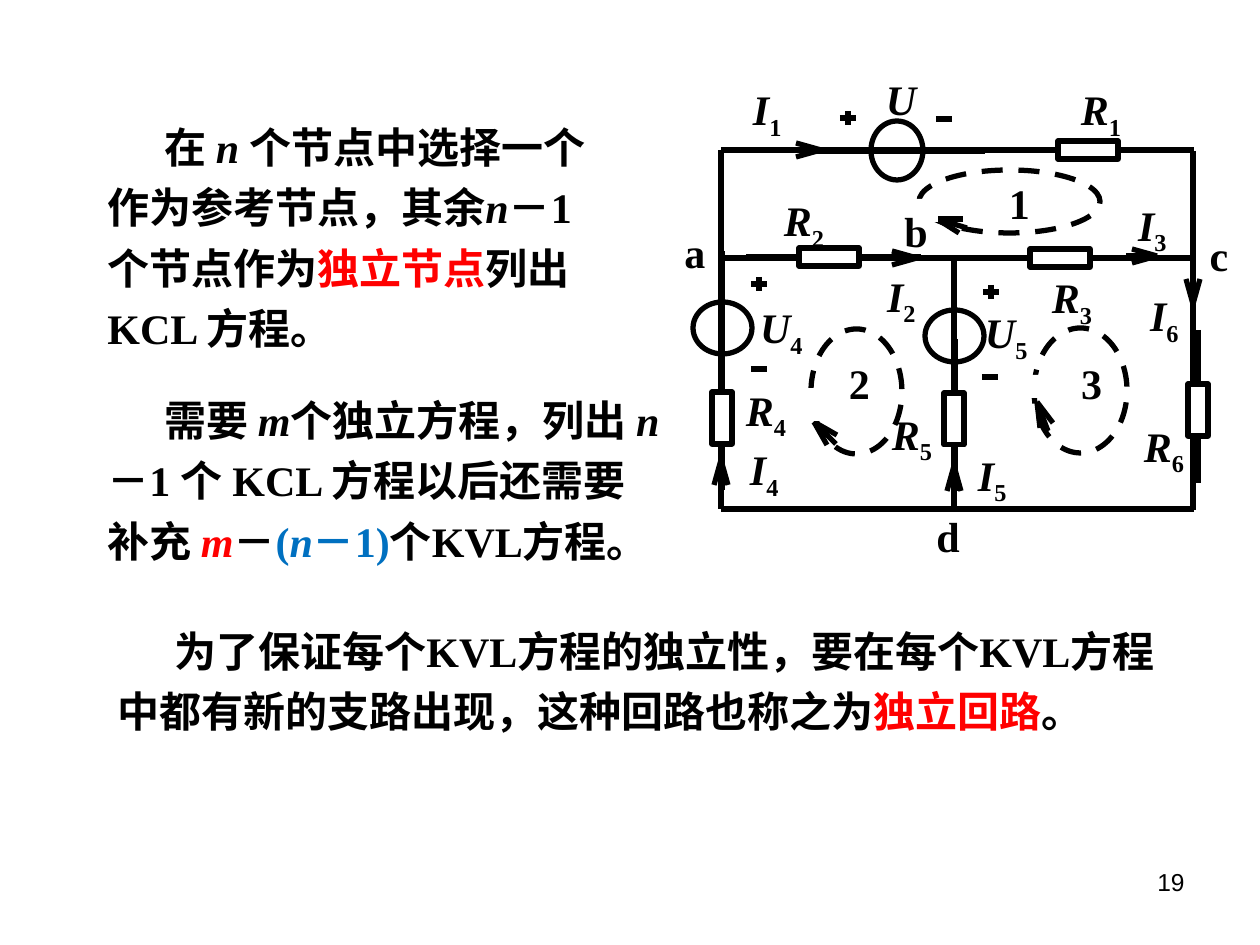
import math

from lxml import etree
from pptx import Presentation
from pptx.dml.color import RGBColor
from pptx.enum.dml import MSO_LINE
from pptx.enum.shapes import MSO_CONNECTOR, MSO_SHAPE
from pptx.enum.text import PP_ALIGN
from pptx.oxml.ns import qn
from pptx.util import Emu, Pt

STRAIGHT = MSO_CONNECTOR.STRAIGHT
RECT, OVAL = MSO_SHAPE.RECTANGLE, MSO_SHAPE.OVAL
DASH = MSO_LINE.DASH
LEFT, CENTER, RIGHT, JUSTIFY = (
    PP_ALIGN.LEFT, PP_ALIGN.CENTER, PP_ALIGN.RIGHT, PP_ALIGN.JUSTIFY)

PX_PER_INCH = 126
SERIF, SANS = "Times New Roman", "Arial"
COLORS = {"black": "000000", "white": "FFFFFF", "red": "FF0000", "blue": "0070C0"}

# Each run: text, colour, italic
BODY = [
    ((95, 105, 535, 257), [
        ("在 ", "black", False), ("n ", "black", True),
        ("个节点中选择一个作为参考节点，其余", "black", False),
        ("n", "black", True), ("－1 个节点作为", "black", False),
        ("独立节点", "red", False), ("列出 KCL 方程。", "black", False)]),
    ((95, 378, 577, 197), [
        ("需要 ", "black", False), ("m", "black", True),
        ("个独立方程，列出 ", "black", False), ("n", "black", True),
        ("－1 个 KCL 方程以后还需要补充 ", "black", False), ("m", "red", True),
        ("－", "black", False), ("(", "blue", False), ("n", "blue", True),
        ("－1)", "blue", False), ("个KVL方程。", "black", False)]),
    ((105, 609, 1071, 222), [
        ("为了保证每个KVL方程的独立性，要在每个KVL方程中都有新的支路出现，"
         "这种回路也称之为", "black", False),
        ("独立回路", "red", False), ("。", "black", False)]),
]

SOURCE_LABELS = [("U1", 886, 73, 40, 32), ("U5", 985, 307, 83, 74),
                 ("U4", 760, 302, 69, 64)]
LABELS = [
    ("R1", 1081, 84, 74, 74), ("R2", 784, 195, 76, 74), ("R3", 1052, 272, 62, 74),
    ("R4", 746, 384, 50, 67), ("R5", 892, 408, 76, 67), ("R6", 1144, 420, 53, 67),
    ("I1", 753, 84, 50, 35), ("I2", 887, 270, 67, 67), ("I3", 1138, 199, 69, 67),
    ("I4", 750, 444, 78, 67), ("I5", 978, 449, 78, 67), ("I6", 1150, 290, 57, 40),
]
LOOP_LABELS = [("1", 1009, 178, 59, 74), ("2", 849, 358, 50, 60),
               ("3", 1081, 358, 59, 74)]
NODES = [("a", 672, 220, 84, 63, LEFT), ("d", 924, 504, 63, 63, LEFT),
         ("b", 892, 199, 63, 63, LEFT), ("c", 1182, 223, 74, 63, CENTER)]

WIRES = [(721, 150, 1194, 150), (721, 150, 721, 509), (1193, 151, 1193, 510),
         (721, 509, 1194, 509), (721, 258, 1194, 258), (954, 257, 954, 509)]
LEADS = [(968, 258, 1142, 258), (921, 257, 746, 257), (1181, 150, 1005, 150),
         (1198, 330, 1198, 483), (809, 151, 985, 151), (954, 258, 954, 412),
         (722, 251, 722, 404), (955, 339, 955, 491), (722, 338, 722, 490)]
SOURCES = [(871, 121, 52, 59), (925, 310, 59, 52), (693, 302, 59, 52)]
RESISTORS = [(1058, 141, 60, 18), (799, 248, 60, 18), (1030, 249, 60, 18),
             (712, 392, 20, 52), (944, 393, 20, 52), (1188, 384, 20, 52)]
PLUSES = [(848, 118), (991, 292), (759, 284)]
MINUSES = [(944, 119), (990, 377), (759, 369)]
LOOPS = [(919, 170, 181, 63), (811, 329, 91, 125), (1034, 328, 93, 125)]
LOOP_GAPS = [(1024, 375, 34, 23), (796, 388, 32, 33), (890, 199, 48, 23)]
# Each arrow: tip, direction
ARROWS = [((1193, 304), (0, 1)), ((721, 460), (0, -1)), ((954, 466), (0, -1)),
          ((821, 150), (1, 0)), ((917, 258), (1, 0)), ((1157, 256), (1, 0))]
LOOP_ARROWS = [((937, 219), (-31, -9)), ((1037, 402), (-11, -28)),
               ((814, 422), (-21, -21))]


def px(n):
    return Emu(round(n * 914400 / PX_PER_INCH))


def rgb(name):
    return RGBColor.from_string(COLORS[name])


def line(shapes, x1, y1, x2, y2):
    c = shapes.add_connector(STRAIGHT, px(x1), px(y1), px(x2), px(y2))
    c.line.color.rgb = rgb("black")
    c.line.width = Pt(3)
    etree.SubElement(c._element.spPr, qn("a:effectLst"))


def outline(shapes, kind, box, fill="white", stroke=True, dash=None):
    sp = shapes.add_shape(kind, *map(px, box))
    sp.shadow.inherit = False
    if fill:
        sp.fill.solid()
        sp.fill.fore_color.rgb = rgb(fill)
    else:
        sp.fill.background()
    if stroke:
        sp.line.color.rgb = rgb("black")
        sp.line.width = Pt(3)
        if dash:
            sp.line.dash_style = dash
    else:
        sp.line.fill.background()


def arrowhead(shapes, tip, direction):
    """Draw a shaft and two barbs running back from the tip."""
    x, y = tip
    size = math.hypot(*direction)
    ux, uy = (d / size for d in direction)
    for back, side in ((25, -7), (25, 7), (31, 0)):
        line(shapes, x, y, round(x - back * ux - side * uy),
             round(y - back * uy + side * ux))


def text_box(shapes, box, align, inset=True, font=SERIF, size=24, bold=True):
    """Add an empty wrapped text box and return its first paragraph."""
    tf = shapes.add_textbox(*map(px, box)).text_frame
    tf.word_wrap = True
    if not inset:
        tf.margin_left = tf.margin_right = tf.margin_top = tf.margin_bottom = 0
    p = tf.paragraphs[0]
    p.alignment = align
    p.font.name, p.font.size, p.font.bold = font, Pt(size), bold
    p.font.color.rgb = rgb("black")
    return p


def symbol(shapes, name, *box):
    """Label with an italic letter and a subscript digit."""
    p = text_box(shapes, box, JUSTIFY, inset=False)
    letter, sub = p.add_run(), p.add_run()
    letter.text, sub.text = name
    letter.font.italic = True
    sub._r.get_or_add_rPr().set("baseline", "-25000")


def body_text(shapes, box, runs):
    p = text_box(shapes, box, LEFT)
    p.line_spacing = 1.2
    p._p.get_or_add_pPr().set("indent", str(px(57)))
    for text, color, italic in runs:
        r = p.add_run()
        r.text = text
        r.font.italic = italic
        r.font.color.rgb = rgb(color)


def circuit(shapes):
    for label in SOURCE_LABELS:
        symbol(shapes, *label)
    for box in SOURCES:
        outline(shapes, OVAL, box)
    for ends in WIRES + LEADS:
        line(shapes, *ends)
    for box in RESISTORS:
        outline(shapes, RECT, box)
    for x, y in PLUSES + MINUSES:
        line(shapes, x - 8, y, x + 8, y)
    for x, y in PLUSES:
        line(shapes, x, y - 7, x, y + 7)
    for arrow in ARROWS:
        arrowhead(shapes, *arrow)
    for label in LABELS:
        symbol(shapes, *label)
    for box in LOOPS:
        outline(shapes, OVAL, box, fill=None, dash=DASH)
    for text, *box in LOOP_LABELS:
        text_box(shapes, box, JUSTIFY, inset=False).add_run().text = text
    for arrow in LOOP_ARROWS:
        arrowhead(shapes, *arrow)
    for box in LOOP_GAPS:
        outline(shapes, RECT, box, stroke=False)
    for text, *box, align in NODES:
        text_box(shapes, box, align).add_run().text = text


def main():
    prs = Presentation()
    prs.slide_width, prs.slide_height = px(1260), px(945)
    s = prs.slides.add_slide(prs.slide_layouts[6])
    for box, runs in BODY:
        body_text(s.shapes, box, runs)
    circuit(s.shapes.add_group_shape().shapes)
    number = text_box(s.shapes, (903, 861, 294, 66), RIGHT,
                      font=SANS, size=14, bold=False)
    number.add_run().text = "19"
    prs.save("out.pptx")


if __name__ == "__main__":
    main()
